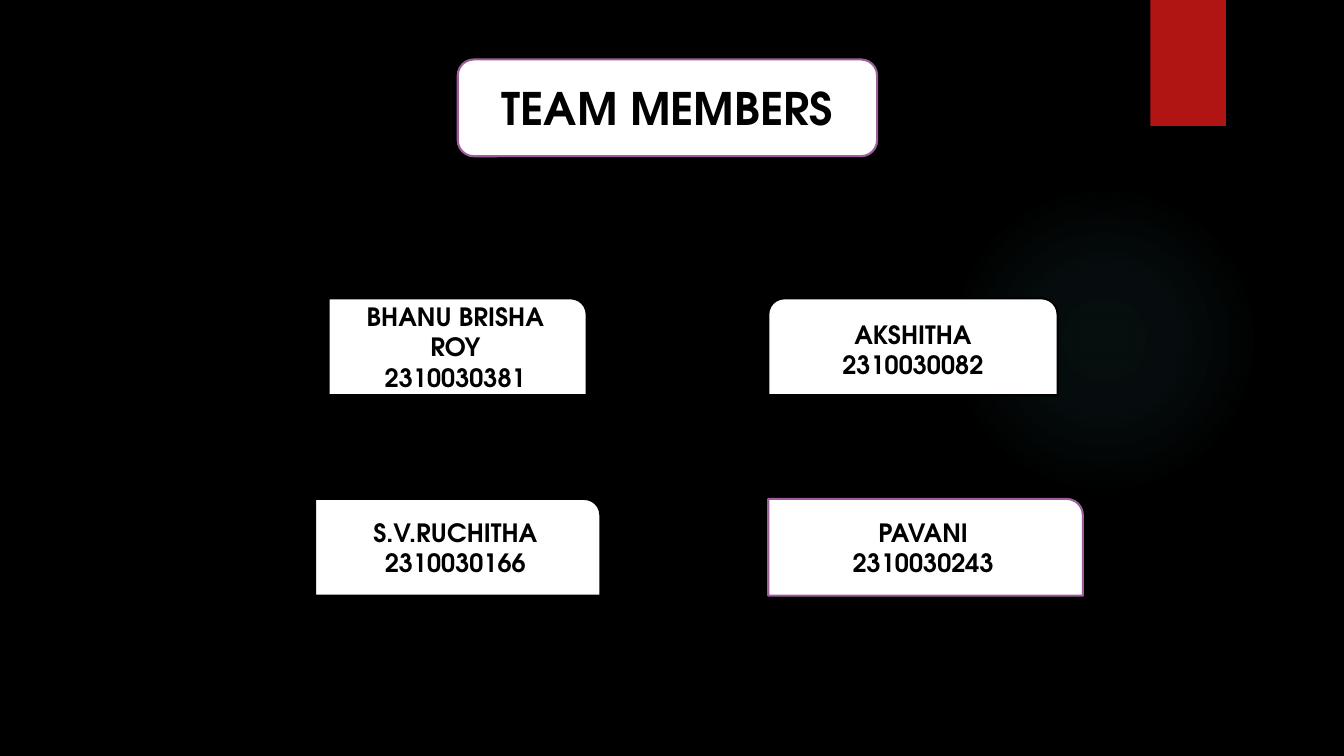
from pptx import Presentation
from pptx.dml.color import RGBColor
from pptx.enum.shapes import MSO_SHAPE
from pptx.enum.text import MSO_ANCHOR, PP_ALIGN
from pptx.oxml import parse_xml
from pptx.oxml.ns import nsdecls, qn
from pptx.util import Inches, Pt

OVAL, RECT = MSO_SHAPE.OVAL, MSO_SHAPE.RECTANGLE
ROUNDED = MSO_SHAPE.ROUNDED_RECTANGLE
ONE_CORNER = MSO_SHAPE.ROUND_1_RECTANGLE
TOP_CORNERS = MSO_SHAPE.ROUND_2_SAME_RECTANGLE
CENTER, MIDDLE = PP_ALIGN.CENTER, MSO_ANCHOR.MIDDLE

THEME = {
    "background": "000000", "card": "FFFFFF", "text": "000000",
    "accent": "9E5E9B", "plain": "000000", "ribbon": "B01513", "glow": "50B9C1",
    "font": "TeX Gyre Adventor", "title_size": 32, "member_size": 18, "border": 1.5,
}

TITLE = "TEAM MEMBERS"
# Rows of (name, number, card outline, card width, border colour)
MEMBERS = [
    [("BHANU BRISHA ROY", "2310030381", ONE_CORNER, 2.56, "plain"),
     ("AKSHITHA", "2310030082", TOP_CORNERS, 2.87, "plain")],
    [("S.V.RUCHITHA", "2310030166", ONE_CORNER, 2.83, "plain"),
     ("PAVANI", "2310030243", ONE_CORNER, 3.12, "accent")],
]
GLOW_STOPS = [(0, 7), (36, 6), (69, 0)]  # position and opacity in percent

SLIDE_W, SLIDE_H = 13.33, 7.5
CARD_H = 0.96
TITLE_LEFT, TITLE_TOP, TITLE_W = 4.54, 0.59, 4.16
FIRST_ROW_TOP, ROW_STEP = 2.96, 1.99
LEFT_COLUMN_CENTER, RIGHT_COLUMN_LEFT = 4.54, 7.62


def color(role):
    return RGBColor.from_string(THEME[role])


def add_block(slide, outline, box, fill_role):
    block = slide.shapes.add_shape(outline, *map(Inches, box))
    block.shadow.inherit = False
    block.fill.solid()
    block.fill.fore_color.rgb = color(fill_role)
    block.line.fill.background()
    return block


def add_glow(slide, box):
    """Add a circle that fades out from its centre."""
    glow = add_block(slide, OVAL, box, "glow")
    stops = "".join(
        f'<a:gs pos="{position * 1000}"><a:srgbClr val="{THEME["glow"]}">'
        f'<a:alpha val="{opacity * 1000}"/></a:srgbClr></a:gs>'
        for position, opacity in GLOW_STOPS)
    gradient = parse_xml(
        f'<a:gradFill {nsdecls("a")}><a:gsLst>{stops}</a:gsLst><a:path path="circle">'
        '<a:fillToRect l="50000" t="50000" r="50000" b="50000"/></a:path></a:gradFill>')
    properties = glow._element.spPr
    properties.replace(properties.find(qn("a:solidFill")), gradient)


def add_card(slide, outline, box, lines, size_role, border_role):
    card = add_block(slide, outline, box, "card")
    card.line.color.rgb = color(border_role)
    card.line.width = Pt(THEME["border"])
    frame = card.text_frame
    frame.word_wrap = True
    frame.vertical_anchor = MIDDLE
    font_format = {"name": THEME["font"], "size": Pt(THEME[size_role]), "bold": True}
    for index, line in enumerate(lines):
        paragraph = frame.add_paragraph() if index else frame.paragraphs[0]
        paragraph.alignment = CENTER
        run = paragraph.add_run()
        run.text = line
        for attribute, value in font_format.items():
            setattr(run.font, attribute, value)
        run.font.color.rgb = color("text")


def main():
    deck = Presentation()
    deck.slide_width, deck.slide_height = Inches(SLIDE_W), Inches(SLIDE_H)
    slide = deck.slides.add_slide(deck.slide_layouts[6])
    slide.background.fill.solid()
    slide.background.fill.fore_color.rgb = color("background")

    add_glow(slide, (9.41, 1.83, 3.08, 3.08))
    add_block(slide, RECT, (11.41, 0, 0.75, 1.25), "ribbon")

    for row, members in enumerate(MEMBERS):
        top = FIRST_ROW_TOP + row * ROW_STEP
        for column, (name, number, outline, width, border) in enumerate(members):
            left = RIGHT_COLUMN_LEFT if column else LEFT_COLUMN_CENTER - width / 2
            add_card(slide, outline, (left, top, width, CARD_H),
                     (name, number), "member_size", border)

    add_card(slide, ROUNDED, (TITLE_LEFT, TITLE_TOP, TITLE_W, CARD_H),
             (TITLE,), "title_size", "accent")
    deck.save("out.pptx")


if __name__ == "__main__":
    main()
